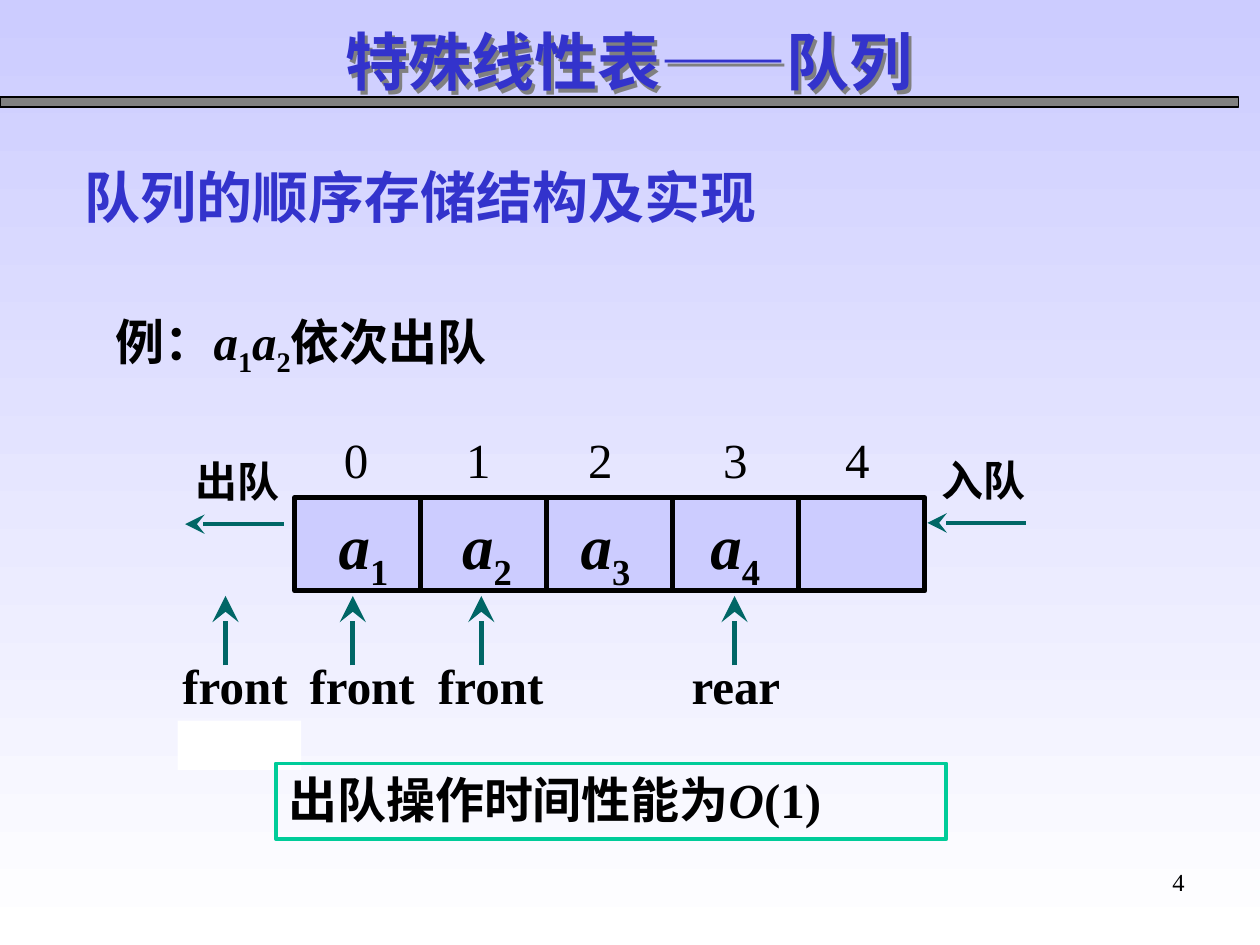
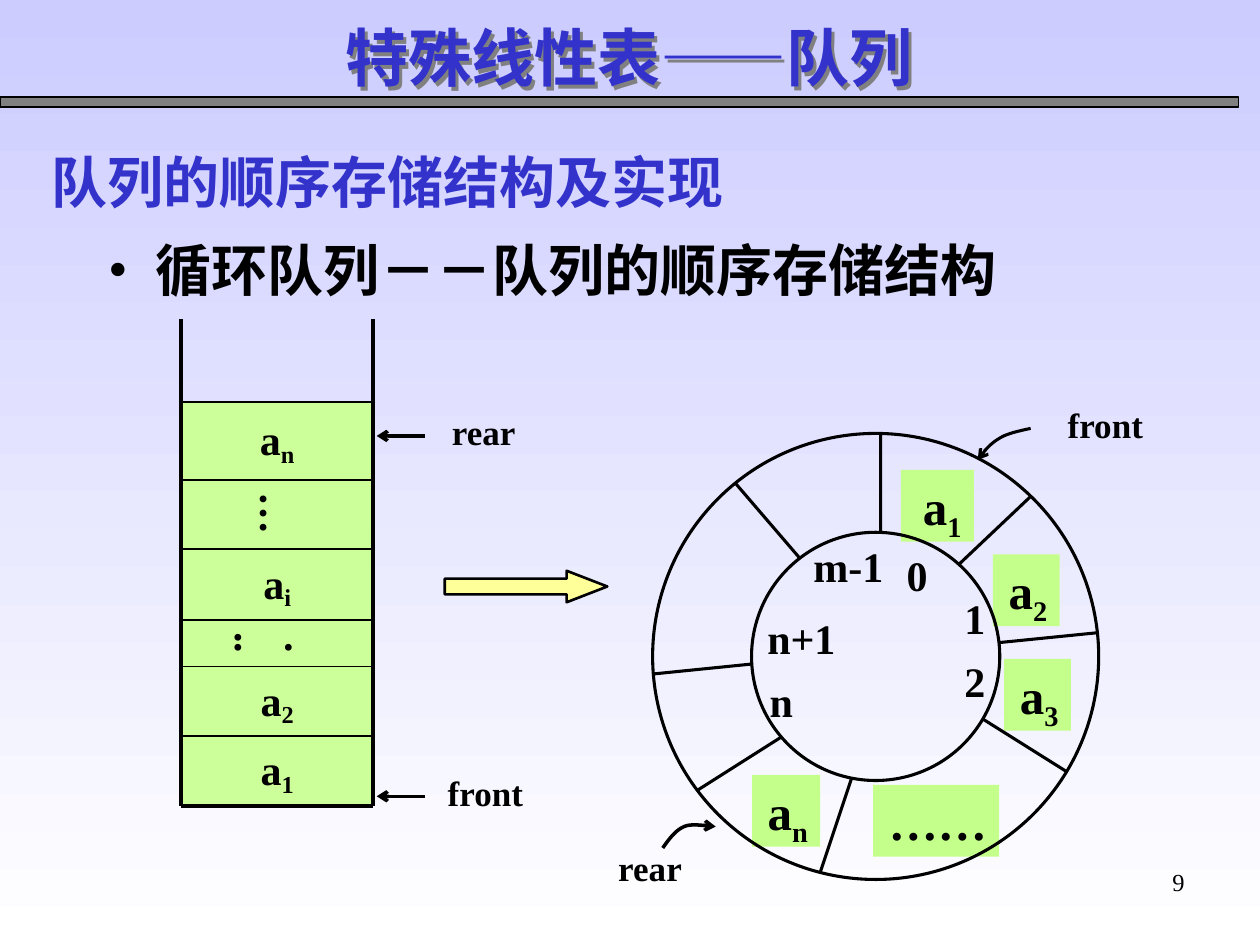
import math

import pptx
import pptx.dml.color
import pptx.enum.shapes
import pptx.enum.text
import pptx.oxml.ns
import pptx.util
from lxml import etree

Inches = pptx.util.Inches
Shape = pptx.enum.shapes.MSO_SHAPE
Align = pptx.enum.text.PP_ALIGN
Anchor = pptx.enum.text.MSO_ANCHOR
qn = pptx.oxml.ns.qn

FONT = "Times New Roman"
COLORS = {
    "sky": "CCCCFF", "white": "FFFFFF", "black": "000000", "band": "808080",
    "heading": "3333CC", "arrow": "006666", "frame": "00CC99",
    "stack": "CCFF99", "ring": "C5FF8B", "yellow": "FFFF99",
}


def rgb(name):
    return pptx.dml.color.RGBColor.from_string(COLORS[name])


def sub_element(parent, tag, **attributes):
    return etree.SubElement(parent, qn(tag), attributes)


def add_shadow(box):
    """Give an unfilled text box a grey drop shadow, which falls from its letters."""
    box.fill.background()
    effects = sub_element(box._element.spPr, "a:effectLst")
    shadow = sub_element(effects, "a:outerShdw", dist="38100", dir="2700000", algn="tl")
    sub_element(shadow, "a:srgbClr", val=COLORS["band"])


def write(box, text, size=28, color="black", bold=True, align=Align.LEFT,
          anchor=Anchor.TOP, wrap=True, drop=-25, shadow=False, vertical=False):
    """Fill a box with text: a string, or (string, style) pairs, style "", "i" or "sub"."""
    frame = box.text_frame
    frame.word_wrap = wrap
    frame.vertical_anchor = anchor
    if vertical:
        frame._txBody.bodyPr.set("vert", "eaVert")
    if shadow:
        add_shadow(box)
    para = frame.paragraphs[0]
    para.alignment = align
    for content, style in [(text, "")] if isinstance(text, str) else text:
        span = para.add_run()
        span.text = content
        font = span.font
        font.size, font.bold, font.italic = pptx.util.Pt(size), bold, style == "i"
        font.color.rgb = rgb(color)
        font.name = FONT
        if style == "sub":
            span._r.get_or_add_rPr().set("baseline", str(drop * 1000))
    return para


def add_text(page, left, top, width, height, text, **style):
    box = page.shapes.add_textbox(*map(Inches, (left, top, width, height)))
    return write(box, text, **style)


def paint(shape, fill=None, line=None, weight=1.0):
    shape.shadow.inherit = False
    if fill:
        shape.fill.solid()
        shape.fill.fore_color.rgb = rgb(fill)
    else:
        shape.fill.background()
    if line:
        shape.line.color.rgb = rgb(line)
        shape.line.width = pptx.util.Pt(weight)
    else:
        shape.line.fill.background()


def add_shape(page, kind, left, top, width, height, **look):
    shape = page.shapes.add_shape(kind, *map(Inches, (left, top, width, height)))
    paint(shape, **look)
    return shape


def add_head(shape, head, size="med"):
    sub_element(shape.line._get_or_add_ln(), "a:tailEnd", type=head, w=size, len=size)


def add_line(page, start, end, weight, color="black", head=None, head_size="med"):
    straight = pptx.enum.shapes.MSO_CONNECTOR.STRAIGHT
    line = page.shapes.add_connector(straight, *map(Inches, (*start, *end)))
    line.line.color.rgb = rgb(color)
    line.line.width = pptx.util.Pt(weight)
    if head:
        add_head(line, head, head_size)
    sub_element(line._element.spPr, "a:effectLst")


def add_curve(page, start, segments, weight):
    """Draw cubic segments, each two controls and an end, with an arrowhead."""
    points, steps = [], 10
    origin = start
    for segment in segments:
        corners = (origin, *segment)
        for step in range(1, steps + 1):
            t = step / steps
            shares = [math.comb(3, k) * t ** k * (1 - t) ** (3 - k) for k in range(4)]
            points.append(tuple(Inches(sum(share * corner[axis]
                                           for share, corner in zip(shares, corners)))
                                for axis in (0, 1)))
        origin = segment[-1]
    builder = page.shapes.build_freeform(*map(Inches, start))
    builder.add_line_segments(points, close=False)
    curve = builder.convert_to_shape()
    paint(curve, line="black", weight=weight)
    add_head(curve, "arrow")


def item(index, style=""):
    return [("a", style), (index, "sub")]


def set_background(deck):
    fill = deck.slide_master.background.fill
    fill.gradient()
    fill.gradient_angle = 270
    for stop, color in zip(fill.gradient_stops, ("sky", "white")):
        stop.color.rgb = rgb(color)


def add_page(deck, number, title_top, heading_at):
    page = deck.slides.add_slide(deck.slide_layouts[6])
    add_shape(page, Shape.RECTANGLE, 0, 0.77, 9.83, 0.08,
              fill="band", line="black", weight=0.75)
    add_text(page, 7.17, 6.83, 2.33, 0.52, str(number), size=14, bold=False, align=Align.RIGHT)
    add_text(page, 2.64, title_top, 5.89, 0.7, "特殊线性表——队列",
             size=36, color="heading", shadow=True)
    add_text(page, *heading_at, 6.75, 0.63, "队列的顺序存储结构及实现", size=32, color="heading")
    return page


def add_array(page, left, top):
    cell_width, cell_height = 1, 0.74
    for column in range(5):
        add_shape(page, Shape.RECTANGLE, left + column * cell_width, top,
                  cell_width, cell_height, fill="sky", line="black", weight=3)
    indexes = add_text(page, left + 0.29, top - 0.59, 4.68, 0.57, "0\t1\t2\t3\t4", bold=False)
    tabs = sub_element(indexes._p.get_or_add_pPr(), "a:tabLst")
    for stop in (0.97, 1.94, 3.01, 3.98):
        sub_element(tabs, "a:tab", pos=str(Inches(stop)), algn="l")
    for number, offset in enumerate((0.25, 1.23, 2.17, 3.2), start=1):
        add_text(page, left + offset, top + 0.02, 0.64, 0.7, item(str(number), "i"), size=36)


def add_flow(page, left, top, label, label_left):
    """Draw a left-pointing arrow with its label above."""
    add_line(page, (left + 0.78, top), (left, top), 2.25, "arrow", "stealth", "lg")
    add_text(page, label_left, top - 0.59, 1.08, 0.5, label, size=24)


def add_pointer(page, middle, top, label):
    """Draw an upward arrow with its label below."""
    add_line(page, (middle, top + 0.55), (middle, top), 3, "arrow", "stealth", "lg")
    add_text(page, middle - 0.44, top + 0.42, 1.13, 0.57, label)


def build_dequeue_page(deck):
    page = add_page(deck, 4, 0.13, (0.57, 1.24))
    add_text(page, 0.82, 2.42, 3.69, 0.57,
             [("例：", ""), *item("1", "i"), *item("2", "i"), ("依次出队", "")])
    add_array(page, 2.34, 3.95)
    add_flow(page, 7.36, 4.15, "入队", 7.37)
    add_flow(page, 1.47, 4.16, "出队", 1.45)
    add_shape(page, Shape.RECTANGLE, 1.41, 5.72, 0.98, 0.39, fill="white")
    for middle, label in ((1.79, "front"), (2.8, "front"), (3.82, "front"), (5.83, "rear")):
        add_pointer(page, middle, 4.73, label)
    result = add_shape(page, Shape.RECTANGLE, 2.19, 6.06, 5.32, 0.6, line="frame", weight=2.25)
    write(result, [("出队操作时间性能为", ""), ("O", "i"), ("(1)", "")])


def add_stack(page, left, top, width, height):
    right, bottom = left + width, top + height
    cells = [(0.62, item("n")), (0.55, "…"), (0.56, item("i")),
             (0.37, " ..."), (0.55, item("2")), (0.56, item("1"))]
    first = bottom - sum(cell_height for cell_height, _ in cells)
    edges, edge = [], first
    for cell_height, text in cells:
        cell = add_shape(page, Shape.RECTANGLE, left, edge, width, cell_height, fill="stack")
        dots = isinstance(text, str)
        write(cell, text, size=24, align=Align.LEFT if dots else Align.CENTER,
              anchor=Anchor.MIDDLE, drop=-18, vertical=dots)
        edges.append(edge)
        edge += cell_height
    for edge in edges:
        add_line(page, (left, edge), (right, edge), 1)
    for side in (left, right):
        add_line(page, (side, top), (side, bottom), 2.25)
    add_line(page, (left, bottom), (right, bottom), 2.25)
    for label, level, label_left, label_width in (("rear", first + 0.27, 0.52, 0.71),
                                                  ("front", bottom - 0.08, 0.49, 0.8)):
        add_line(page, (right + 0.41, level), (right + 0.03, level), 2, head="arrow")
        add_text(page, right + label_left, level - 0.25, label_width, 0.43, label,
                 size=20, align=Align.RIGHT, wrap=False)


def add_ring(page, left, top, size):
    outer, inner = size / 2, 0.985
    center_x, center_y = left + outer, top + outer

    def at(x, y):
        return left + x, top + y

    def on_circle(radius, degrees):
        angle = math.radians(degrees)
        return center_x + radius * math.cos(angle), center_y + radius * math.sin(angle)

    for x, y, width, text in ((1.97, 0.29, 0.58, item("1")), (2.7, 0.96, 0.53, item("2")),
                              (2.79, 1.79, 0.53, item("3")), (1.75, 2.79, 1, "……"),
                              (0.79, 2.71, 0.54, item("n"))):
        tile = add_shape(page, Shape.RECTANGLE, *at(x, y), width, 0.57, fill="ring")
        write(tile, text, align=Align.RIGHT, wrap=width == 1)
    for x, y, width, text in ((1.91, 0.87, 0.37, "0"), (2.37, 1.21, 0.37, "1"),
                              (2.37, 1.71, 0.37, "2"), (0.83, 1.87, 0.37, "n"),
                              (0.81, 1.37, 0.74, "n+1"), (1.17, 0.8, 0.76, "m-1")):
        add_text(page, *at(x, y), width, 0.5, text, size=24, align=Align.RIGHT, wrap=False)
    for x, y, width, text in ((3.19, -0.29, 0.8, "front"), (-0.38, 3.23, 0.71, "rear")):
        add_text(page, *at(x, y), width, 0.43, text, size=20, align=Align.RIGHT, wrap=False)
    add_curve(page, at(3, -0.04), [(at(2.91, -0.02), at(2.81, 0), at(2.75, 0.04)),
                                   (at(2.68, 0.08), at(2.63, 0.14), at(2.58, 0.21))], 1.75)
    add_curve(page, at(0.08, 3.29), [(at(0.13, 3.22), at(0.18, 3.15), at(0.25, 3.12)),
                                     (at(0.31, 3.09), at(0.45, 3.12), at(0.5, 3.12))], 2)
    for radius in (outer, inner):
        add_shape(page, Shape.OVAL, center_x - radius, center_y - radius,
                  2 * radius, 2 * radius, line="black", weight=1.75)
    for outer_angle, inner_angle in ((-129, -127.7), (-88.7, -87.7), (-45.9, -47.9), (-6.1, -6.4),
                                     (31.1, 30.3), (104.4, 101.2), (143.1, 139.5), (175.5, 176.5)):
        add_line(page, on_circle(outer, outer_angle), on_circle(inner, inner_angle), 1.75)


def build_circular_page(deck):
    page = add_page(deck, 9, 0.1, (0.31, 1.12))
    bullet = add_text(page, 0.76, 1.82, 8.5, 0.44, "循环队列－－队列的顺序存储结构", size=32)
    properties = bullet._p.get_or_add_pPr()
    properties.set("marL", str(Inches(0.38)))
    properties.set("indent", str(Inches(-0.38)))
    sub_element(properties, "a:buFont", typeface=FONT)
    sub_element(properties, "a:buChar", char="•")
    add_stack(page, 1.44, 2.53, 1.52, 3.87)
    arrow = add_shape(page, Shape.RIGHT_ARROW, 3.53, 4.53, 1.29, 0.25,
                      fill="yellow", line="black", weight=1.5)
    arrow.adjustments[1] = 1.29
    add_ring(page, 5.18, 3.44, 3.54)


def main():
    deck = pptx.Presentation()
    deck.slide_width, deck.slide_height = Inches(10), Inches(7.5)
    set_background(deck)
    build_dequeue_page(deck)
    build_circular_page(deck)
    deck.save("out.pptx")


if __name__ == "__main__":
    main()
